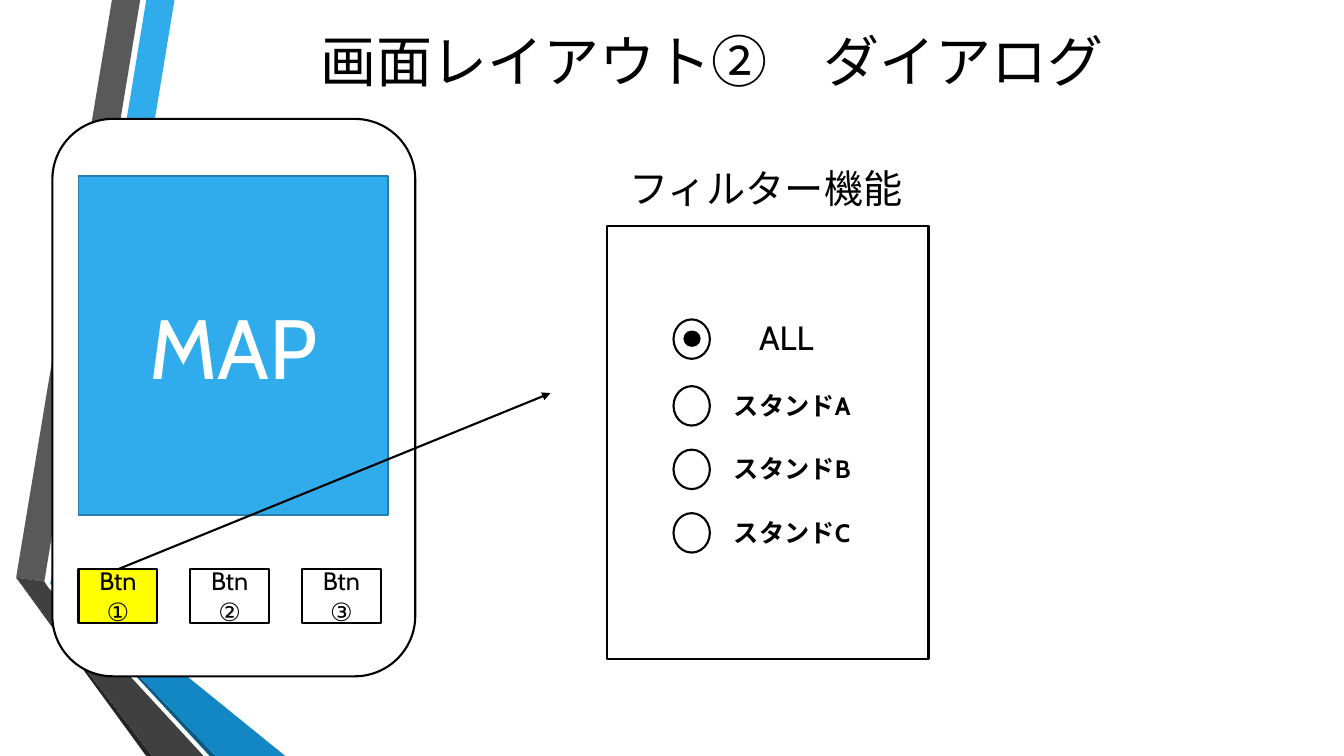
from collections import namedtuple

from lxml.etree import SubElement
from pptx import Presentation
from pptx.dml.color import RGBColor
from pptx.enum.shapes import MSO_CONNECTOR as Link, MSO_SHAPE as Kind
from pptx.enum.text import MSO_ANCHOR as Anchor, MSO_AUTO_SIZE as Fit, PP_ALIGN as Align
from pptx.oxml.ns import qn
from pptx.util import Inches, Pt

BLACK = RGBColor(0x00, 0x00, 0x00)
WHITE = RGBColor(0xFF, 0xFF, 0xFF)
YELLOW = RGBColor(0xFF, 0xFF, 0x00)
SKY = RGBColor(0x30, 0xAC, 0xEC)
EDGE = RGBColor(0x24, 0x7F, 0xAF)
BLUE = RGBColor(0x12, 0x87, 0xC3)
NAVY = RGBColor(0x0C, 0x5A, 0x82)
GRAY = RGBColor(0x59, 0x59, 0x59)
DARK = RGBColor(0x40, 0x40, 0x40)
COAL = RGBColor(0x26, 0x26, 0x26)
FONT = "Cabin"

RIBBONS = [
    (SKY, [(3.75, 77.07), (5.78, 77.73), (12.98, 0), (10.88, 0)]),
    (GRAY, [(10.43, 0), (8.33, 0), (1.2, 76.4), (3.3, 76.93)]),
    (COAL, [(1.2, 76.4), (10.88, 100), (11.33, 100)]),
    (NAVY, [(3.75, 77.2), (15.6, 100), (16.05, 100)]),
    (BLUE, [(3.75, 77.2), (16.05, 100), (21.23, 100), (5.78, 77.73), (3.75, 77.07)]),
    (DARK, [(15.15, 100), (3.6, 77.73), (3.3, 76.93), (1.2, 76.4), (11.33, 100)]),
]

Box = namedtuple("Box", "left top width height")


def spot(box, x, y):
    return round(box.left + box.width * x / 100), round(box.top + box.height * y / 100)


def part(box, x, y, wide, high):
    return Box(*spot(box, x, y), round(box.width * wide / 100), round(box.height * high / 100))


def write(frame, text, size, color=BLACK, align=Align.LEFT, bold=False):
    frame.text = text
    for line in frame.paragraphs:
        line.alignment = align
        line.font.name = FONT
        line.font.size = Pt(size)
        line.font.bold = bold
        line.font.color.rgb = color


def draw(shapes, kind, box, fill=WHITE, edge=BLACK, width=1.5):
    shape = shapes.add_shape(kind, *box)
    shape.shadow.inherit = False
    if fill is None:
        shape.fill.background()
    else:
        shape.fill.solid()
        shape.fill.fore_color.rgb = fill
    shape.line.color.rgb = edge
    shape.line.width = Pt(width)
    return shape


def panel(shapes, box, text, size, color=BLACK, **style):
    shape = draw(shapes, Kind.RECTANGLE, box, **style)
    shape.text_frame.vertical_anchor = Anchor.MIDDLE
    write(shape.text_frame, text, size, color, Align.CENTER)
    return shape


def label(shapes, box, text, size, bold=False, wrap=False):
    frame = shapes.add_textbox(*box).text_frame
    frame.word_wrap = wrap
    frame.auto_size = Fit.NONE if wrap else Fit.SHAPE_TO_FIT_TEXT
    write(frame, text, size, bold=bold)


def ribbons(shapes, box):
    group = shapes.add_group_shape().shapes
    for color, points in RIBBONS:
        start, *rest = [spot(box, x, y) for x, y in points]
        pen = group.build_freeform(*start)
        pen.add_line_segments(rest, close=True)
        band = pen.convert_to_shape()
        band.shadow.inherit = False
        band.fill.solid()
        band.fill.fore_color.rgb = color
        band.line.fill.background()


def header(title, box):
    title.left, title.top, title.width, title.height = box
    title.text_frame.vertical_anchor = Anchor.MIDDLE
    title.text_frame.auto_size = Fit.NONE
    write(title.text_frame, "画面レイアウト②\u3000ダイアログ".replace("\u3000", "　"), 40, align=Align.CENTER)


def phone(shapes, box):
    group = shapes.add_group_shape().shapes
    draw(group, Kind.ROUNDED_RECTANGLE, box)
    panel(group, part(box, 7.2, 10.3, 85.3, 60.8), "MAP", 60, WHITE,
          fill=SKY, edge=EDGE, width=1.25)
    keys = [("Btn①", YELLOW), ("Btn②", WHITE), ("Btn\n③", WHITE)]
    return [panel(group, part(box, 7.2 + 30.8 * col, 80.8, 21.7, 9.6), text, 18, fill=fill)
            for col, (text, fill) in enumerate(keys)]


def arrow(shapes, key, end):
    line = shapes.add_connector(Link.STRAIGHT, key.left, key.top, *end)
    line.begin_connect(key, 0)
    line.line.color.rgb = BLACK
    line.line.width = Pt(1.5)
    SubElement(line.line._get_or_add_ln(), qn("a:tailEnd"), type="triangle")
    SubElement(line._element.spPr, qn("a:effectLst"))


def dialog(shapes, box):
    draw(shapes, Kind.RECTANGLE, box)
    label(shapes, part(box, 3.8, -15.3, 92.5, 13.3), "フィルター機能", 28)
    rows = [21.6] + [37 + 14.65 * row for row in range(3)]
    for top in rows:
        draw(shapes, Kind.OVAL, part(box, 20.7, top, 11.3, 9.1), fill=None)
    draw(shapes, Kind.OVAL, part(box, 24.1, 24.4, 4.7, 3.3), fill=BLACK)
    label(shapes, part(box, 44.2, 19.8, 24.1, 11.6), "ALL", 24)
    for top, name in zip(rows[1:], "ABC"):
        label(shapes, part(box, 36.4, top - 0.2, 43.3, 9.3), f"スタンド{name}", 18,
              bold=True, wrap=True)


def main():
    deck = Presentation()
    deck.slide_width, deck.slide_height = Inches(13.33), Inches(7.5)
    page = Box(0, 0, deck.slide_width, deck.slide_height)
    slide = deck.slides.add_slide(deck.slide_layouts[5])
    shapes = slide.shapes
    ribbons(shapes, page)
    header(shapes.title, part(page, 11.85, 1.73, 82.22, 12.53))
    keys = phone(shapes, part(page, 3.9, 15.73, 27, 73.73))
    arrow(shapes, keys[0], spot(page, 40.96, 52))
    dialog(shapes, part(page, 45.16, 29.87, 23.93, 57.33))
    deck.save("out.pptx")


if __name__ == "__main__":
    main()
